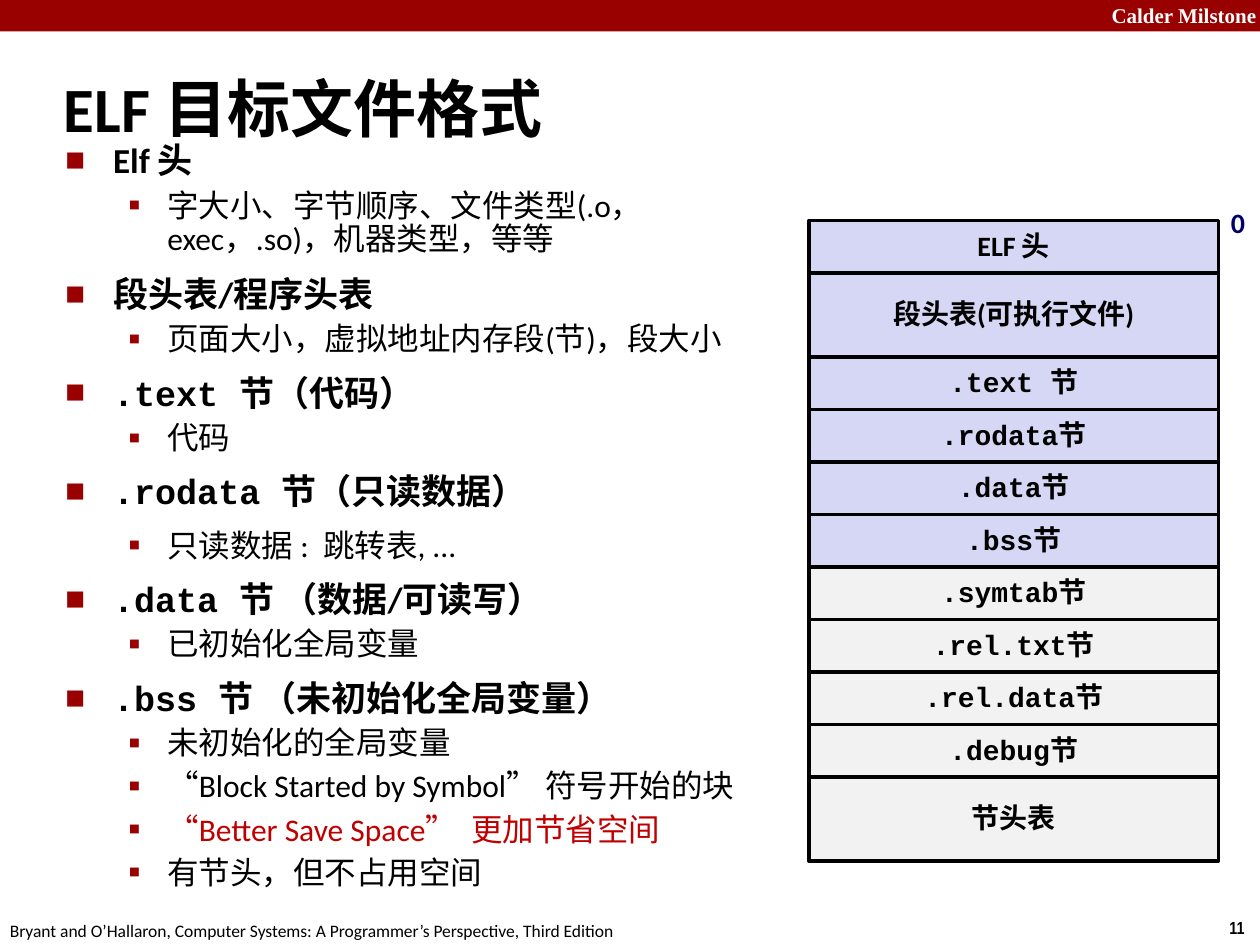
import lxml.etree
import pptx
import pptx.dml.color
import pptx.enum.shapes
import pptx.enum.text
import pptx.oxml.ns
import pptx.util

Inches = pptx.util.Inches
Pt = pptx.util.Pt
RGBColor = pptx.dml.color.RGBColor
Align = pptx.enum.text.PP_ALIGN
Anchor = pptx.enum.text.MSO_ANCHOR
RECTANGLE = pptx.enum.shapes.MSO_SHAPE.RECTANGLE

BLACK = RGBColor(0, 0, 0)
WHITE = RGBColor(255, 255, 255)
CRIMSON = RGBColor(0x99, 0, 0)
RED = RGBColor(0xC0, 0, 0)
NAVY = RGBColor(0, 0, 0x66)
LAVENDER = RGBColor(0xD6, 0xD6, 0xF5)
LIGHT_GRAY = RGBColor(0xF2, 0xF2, 0xF2)
SANS = "Calibri"
MONO = "Courier New"

OUTLINE = [
    (0, [("Elf 头", SANS)]),
    (1, "字大小、字节顺序、文件类型(.o，exec，.so)，机器类型，等等"),
    (0, [("段头表/程序头表", SANS)]),
    (1, "页面大小，虚拟地址内存段(节)，段大小"),
    (0, [(".text ", MONO), ("节（代码）", SANS)]),
    (1, "代码"),
    (0, [(".rodata 节（只读数据）", MONO)]),
    (1, "只读数据 :  跳转表, ..."),
    (0, [(".data ", MONO), ("节 （数据/可读写）", SANS)]),
    (1, "已初始化全局变量"),
    (0, [(".bss ", MONO), ("节 （未初始化全局变量）", SANS)]),
    (1, "未初始化的全局变量"),
    (1, "“Block Started by Symbol” 符号开始的块"),
    (1, "“Better Save Space”  更加节省空间"),
    (1, "有节头，但不占用空间"),
]
LOOSE_ITEM = "只读数据 :  跳转表, ..."
RED_ITEM = "“Better Save Space”  更加节省空间"

ROW, TALL_ROW = 5 / 12, 2 / 3
SECTIONS = [
    ("", "ELF 头", ROW, LAVENDER),
    ("", "段头表(可执行文件)", TALL_ROW, LAVENDER),
    (".text ", "节", ROW, LAVENDER),
    (".rodata", "节", ROW, LAVENDER),
    (".data", "节", ROW, LAVENDER),
    (".bss", "节", ROW, LAVENDER),
    (".symtab", "节", ROW, LIGHT_GRAY),
    (".rel.txt", "节", ROW, LIGHT_GRAY),
    (".rel.data", "节", ROW, LIGHT_GRAY),
    (".debug", "节", ROW, LIGHT_GRAY),
    ("", "节头表", TALL_ROW, LIGHT_GRAY),
]


def style_font(font, size, color, bold, name=SANS):
    """Set size, colour, weight and typeface of a font."""
    font.size, font.bold, font.name = Pt(size), bold, name
    font.color.rgb = color


def add_spans(para, spans):
    """Add runs given as (text, typeface); a lone typeface goes on the paragraph."""
    for text, name in spans:
        span = para.add_run()
        span.text = text
        if len(spans) > 1:
            span.font.name = name
    if len(spans) == 1:
        para.font.name = spans[0][1]


def add_label(page, left, top, width, height, text, size, color, bold=True, name=SANS, wrap=False):
    """Place a one-paragraph text box and return it."""
    box = page.shapes.add_textbox(Inches(left), Inches(top), Inches(width), Inches(height))
    box.text_frame.word_wrap = wrap
    para = box.text_frame.paragraphs[0]
    para.text = text
    style_font(para.font, size, color, bold, name)
    return box


def add_rectangle(page, left, top, width, height, color):
    """Place a flat filled rectangle and return it."""
    box = page.shapes.add_shape(RECTANGLE, Inches(left), Inches(top), Inches(width), Inches(height))
    box.shadow.inherit = False
    box.fill.solid()
    box.fill.fore_color.rgb = color
    box.line.fill.background()
    return box


def add_bullet(para, character, percent, margin, hanging):
    """Give a paragraph a coloured square bullet and a hanging indent."""
    properties = para._p.get_or_add_pPr()
    properties.set("marL", str(Inches(margin)))
    properties.set("indent", str(-Inches(hanging)))
    qn = pptx.oxml.ns.qn
    color = lxml.etree.SubElement(properties, qn("a:buClr"))
    lxml.etree.SubElement(color, qn("a:srgbClr"), val=str(CRIMSON))
    lxml.etree.SubElement(properties, qn("a:buSzPct"), val=str(percent * 1000))
    lxml.etree.SubElement(properties, qn("a:buFont"), typeface=SANS)
    lxml.etree.SubElement(properties, qn("a:buChar"), char=character)


def add_frame(page, width, height):
    """Draw the top band with its name, the footer and the page number."""
    add_rectangle(page, 0, 0, width, 0.25, CRIMSON)
    name = add_label(page, width - 1.36, -0.03, 1.43, 0.3, "Calder Milstone", 12, WHITE,
                     name="Times New Roman")
    name.text_frame.paragraphs[0].alignment = Align.RIGHT
    add_label(page, width - 0.34, height - 0.27, 0.34, 0.27, "11", 10, BLACK, name="Arial Narrow")
    add_label(page, -0.02, height - 0.25, 5.08, 0.27,
              "Bryant and O’Hallaron, Computer Systems: A Programmer’s Perspective, Third Edition",
              10, BLACK, bold=False)


def add_outline(page, left, top, width, height):
    """Write the two-level bulleted outline."""
    box = page.shapes.add_textbox(Inches(left), Inches(top), Inches(width), Inches(height))
    frame = box.text_frame
    frame.word_wrap = True
    for index, (level, content) in enumerate(OUTLINE):
        para = frame.add_paragraph() if index else frame.paragraphs[0]
        para.level = level
        if level == 0:
            para.line_spacing = 0.83 if content[0][1] == SANS else 0.8
            para.space_before = Pt(12.5)
            add_bullet(para, "■", 60, 0.38, 0.38)
            style_font(para.font, 20, BLACK, True)
            add_spans(para, content)
        else:
            loose = content == LOOSE_ITEM
            para.line_spacing = 0.8 if loose else 0.88
            para.space_before = Pt(12.5 if loose else 5.7)
            add_bullet(para, "▪", 110, 0.81, 0.31)
            style_font(para.font, 18, RED if content == RED_ITEM else BLACK, False)
            add_spans(para, [(content, SANS)])


def add_section_stack(page, left, top, width):
    """Stack the file sections downwards, with the start offset beside the first."""
    add_label(page, left + width, top - 0.17, 0.31, 0.37, "0", 16, NAVY)
    for code, text, height, color in SECTIONS:
        box = add_rectangle(page, left, top, width, height, color)
        box.line.color.rgb = BLACK
        box.line.width = Pt(2)
        frame = box.text_frame
        frame.word_wrap = False
        frame.vertical_anchor = Anchor.MIDDLE
        para = frame.paragraphs[0]
        para.alignment = Align.CENTER
        para.line_spacing = 0.94 if code else 0.98
        style_font(para.font, 16, BLACK, True)
        add_spans(para, [(code, MONO), (text, SANS)] if code else [(text, SANS)])
        top += height


def build_slide(deck):
    """Build the object file format slide."""
    page = deck.slides.add_slide(deck.slide_layouts[6])
    add_frame(page, 10, 7.5)
    title = add_label(page, 0.41, 0.42, 9.53, 0.86, "ELF 目标文件格式", 36, BLACK, wrap=True)
    title.text_frame.vertical_anchor = Anchor.MIDDLE
    add_outline(page, 0.42, 1.11, 5.83, 6.14)
    add_section_stack(page, 6.42, 1.75, 3.25)


deck = pptx.Presentation()
deck.slide_width, deck.slide_height = Inches(10), Inches(7.5)
build_slide(deck)
deck.save("out.pptx")
